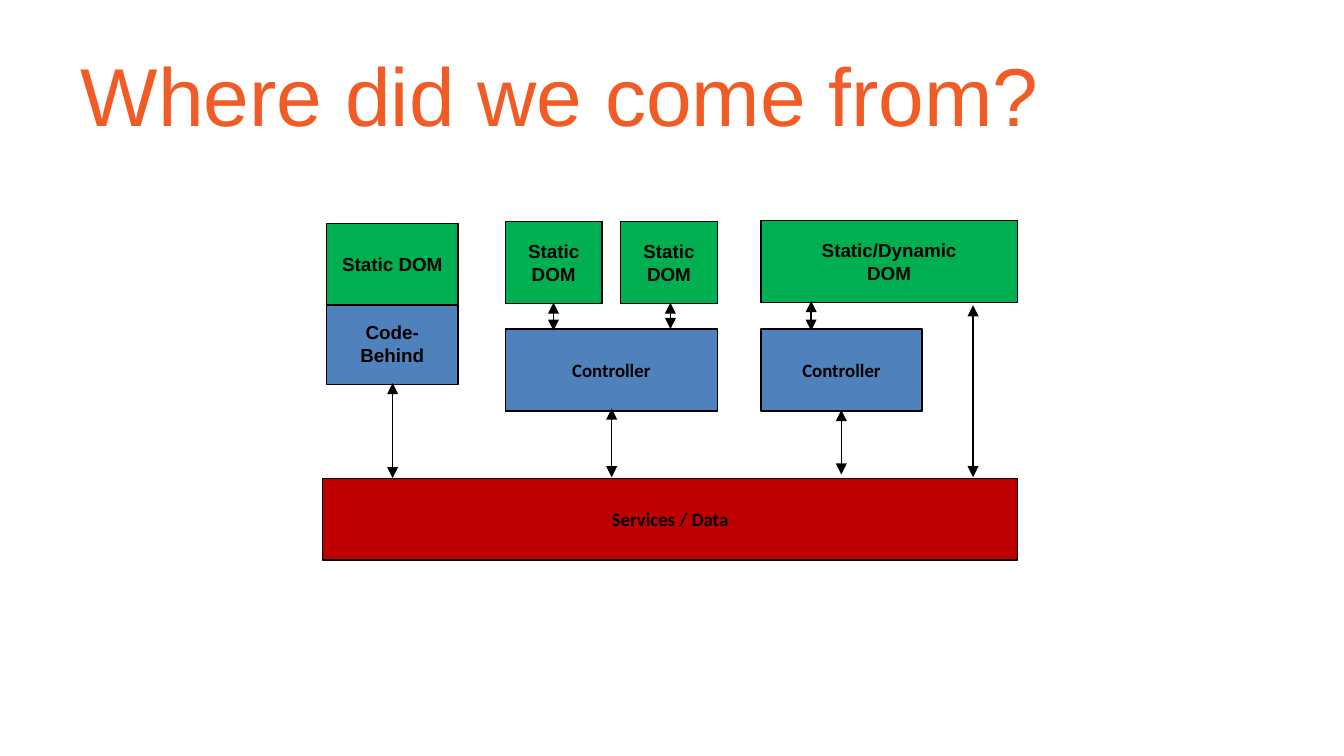
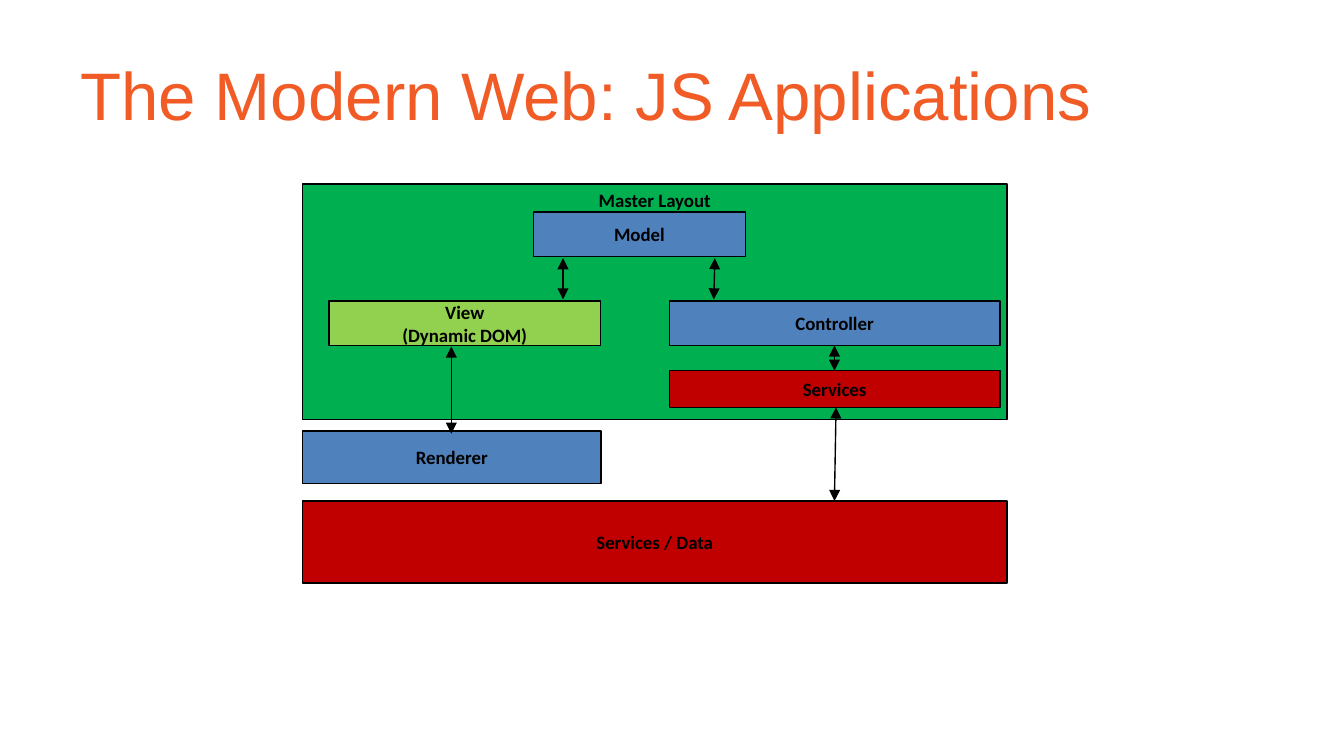
"""Build two slides that compare web application architectures."""
from pptx import Presentation
from pptx.dml.color import RGBColor
from pptx.enum import shapes, text
from pptx.oxml.ns import qn
from pptx.util import Cm, Pt
from lxml import etree

BLACK = RGBColor(0x00, 0x00, 0x00)
ORANGE = RGBColor(0xF1, 0x5B, 0x26)
RED = RGBColor(0xC0, 0x00, 0x00)
BLUE = RGBColor(0x4F, 0x81, 0xBD)
GREEN = RGBColor(0x00, 0xB0, 0x50)
LIME = RGBColor(0x92, 0xD0, 0x50)

MIDDLE = text.MSO_ANCHOR.MIDDLE
TOP = text.MSO_ANCHOR.TOP
BOX_FRAME = {
    "word_wrap": True,
    "margin_left": Cm(0.15),
    "margin_right": Cm(0.15),
    "margin_top": Cm(0.08),
    "margin_bottom": Cm(0.08),
}
BOX_FONT = {"size": Pt(10.1), "bold": True}
TITLE_PLACE = {
    "left": Cm(1.27),
    "top": Cm(0.58),
    "width": Cm(22.86),
    "height": Cm(2.39),
}


def apply(target, values):
    """Set each named attribute on the target."""
    for name, value in values.items():
        setattr(target, name, value)


def write(tf, words, align, color, font):
    """Fill a text frame, one paragraph a line, and format its runs."""
    tf.text = words
    for p in tf.paragraphs:
        p.alignment = align
        for r in p.runs:
            apply(r.font, font)
            r.font.color.rgb = color


def add_titled_slide(prs, title, size):
    """Add a title-only slide with a styled title."""
    s = prs.slides.add_slide(prs.slide_layouts[5])
    sp = s.shapes.title
    apply(sp, TITLE_PLACE)
    write(sp.text_frame, title, text.PP_ALIGN.LEFT, ORANGE,
          {"name": "Arial", "size": Pt(size)})
    apply(sp.text_frame, {"vertical_anchor": MIDDLE, "word_wrap": True})
    return s


def outline(line):
    """Give a line the thin black stroke of the diagrams."""
    line.color.rgb = BLACK
    line.width = Pt(0.75)


def add_box(s, words, place, fill, font="Calibri", anchor=MIDDLE):
    """Add a labelled rectangle at left, top, width, height in cm."""
    sp = s.shapes.add_shape(shapes.MSO_SHAPE.RECTANGLE, *map(Cm, place))
    sp.shadow.inherit = False
    sp.fill.solid()
    sp.fill.fore_color.rgb = fill
    outline(sp.line)
    tf = sp.text_frame
    apply(tf, {**BOX_FRAME, "vertical_anchor": anchor})
    write(tf, words, text.PP_ALIGN.CENTER, BLACK, {**BOX_FONT, "name": font})


def add_arrow(s, x1, y1, x2, y2):
    """Add a double-headed arrow between two points in cm."""
    c = s.shapes.add_connector(
        shapes.MSO_CONNECTOR.STRAIGHT, *map(Cm, (x1, y1, x2, y2)))
    outline(c.line)
    props = c.element.find(qn("p:spPr"))
    ln = props.find(qn("a:ln"))
    for end in ("a:headEnd", "a:tailEnd"):
        etree.SubElement(ln, qn(end), type="triangle")
    etree.SubElement(props, qn("a:effectLst"))


def build_history(prs):
    """Draw the three earlier architectures above shared services."""
    s = add_titled_slide(prs, "Where did we come from?", 44)
    h = 1.55
    add_box(s, "Services / Data", (6.1, 9.04, 13.13, h), RED)
    add_box(s, "Code-Behind", (6.17, 5.72, 2.49, h), BLUE, "Arial")
    for words, x, y, w in (
        ("Static DOM", 6.17, 4.22, 2.49),
        ("Static DOM", 9.55, 4.19, 1.83),
        ("Static DOM", 11.73, 4.19, 1.83),
        ("Static/Dynamic\nDOM", 14.38, 4.17, 4.85),
    ):
        add_box(s, words, (x, y, w, h), GREEN, "Arial")
    for x, w in ((9.55, 4.01), (14.38, 3.05)):
        add_box(s, "Controller", (x, 6.22, w, h), BLUE)
    for x, top, bottom in (
        (7.42, 7.24, 9.04),
        (10.46, 5.72, 6.25),
        (12.67, 5.72, 6.22),
        (11.56, 7.72, 9.02),
        (15.33, 5.69, 6.25),
        (18.39, 5.77, 9.02),
        (15.9, 7.75, 8.97),
    ):
        add_arrow(s, x, top, x, bottom)


def build_modern_web(prs):
    """Draw the client-side application and its services."""
    s = add_titled_slide(prs, "The Modern Web: JS Applications", 36)
    left, full = 5.72, 13.31
    add_box(s, "Services / Data", (left, 9.47, full, 1.55), RED)
    add_box(s, "Master Layout", (left, 3.48, full, 4.45), GREEN, anchor=TOP)
    for words, place, fill in (
        ("Controller", (12.65, 5.69, 6.25, 0.84), BLUE),
        ("Model", (10.08, 4.01, 4.01, 0.84), BLUE),
        ("View\n(Dynamic DOM)", (6.22, 5.69, 5.13, 0.84), LIME),
        ("Renderer", (left, 8.15, 5.64, 0.99), BLUE),
        ("Services", (12.65, 7.01, 6.25, 0.69), RED),
    ):
        add_box(s, words, place, fill)
    for ends in (
        (13.51, 4.88, 13.49, 5.66),
        (10.64, 4.88, 10.64, 5.66),
        (8.53, 8.2, 8.53, 6.55),
        (15.8, 7.7, 15.77, 9.47),
        (15.77, 7.01, 15.77, 6.53),
    ):
        add_arrow(s, *ends)


def main():
    """Create and save the presentation."""
    prs = Presentation()
    apply(prs, {"slide_width": Cm(25.4), "slide_height": Cm(14.29)})
    build_history(prs)
    build_modern_web(prs)
    prs.save("out.pptx")


if __name__ == "__main__":
    main()
